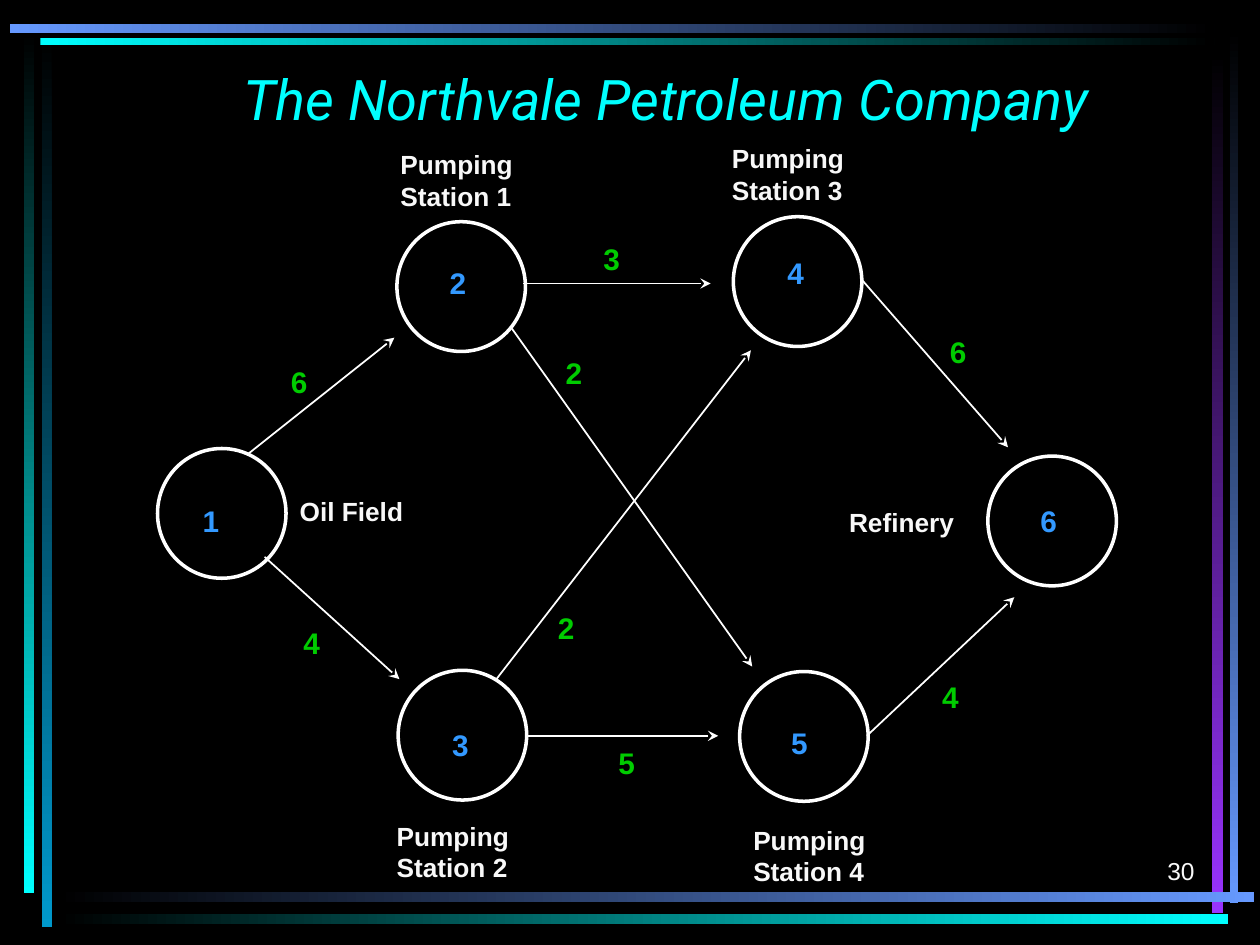
"""Build a pipeline network slide on a grid of 1000 columns by 750 rows."""
from lxml import etree
from pptx import Presentation
from pptx import util as u
from pptx.dml.color import RGBColor
from pptx.enum import shapes, text
from pptx.oxml.ns import qn

COL = {
    "black": "000000", "white": "FFFFFF", "label": "F8F8F8", "cyan": "00FFFF",
    "teal": "0099CC", "blue": "6699FF", "purple": "9933FF",
    "node": "3399FF", "flow": "00CC00",
}
PAL = {name: RGBColor.from_string(value) for name, value in COL.items()}
CELL = u.Inches(10) // 1000

prs = Presentation()
prs.slide_width, prs.slide_height = 1000 * CELL, 750 * CELL
s = prs.slides.add_slide(prs.slide_layouts[6])
s.background.fill.solid()
s.background.fill.fore_color.rgb = PAL["black"]


def grid(*cells):
    return [CELL * c for c in cells]


def add_text(words, x, y, w, h, size=15, color="label", font="Arial", bold=True,
             italic=False, align="LEFT", anchor="TOP", wrap=False):
    tf = s.shapes.add_textbox(*grid(x, y, w, h)).text_frame
    tf.word_wrap = wrap
    tf.auto_size = text.MSO_AUTO_SIZE.NONE if wrap else text.MSO_AUTO_SIZE.SHAPE_TO_FIT_TEXT
    tf.vertical_anchor = text.MSO_ANCHOR[anchor]
    p = tf.paragraphs[0]
    p.alignment = text.PP_ALIGN[align]
    r = p.add_run()
    r.text = words
    r.font.name, r.font.size = font, u.Pt(size)
    r.font.bold, r.font.italic = bold, italic
    r.font.color.rgb = PAL[color]


bars = [
    (33, 28, 8, 708, "black", "teal"),
    (19, 25, 8, 684, "black", "cyan"),
    (976, 24, 7, 693, "black", "blue"),
    (962, 42, 9, 683, "black", "purple"),
    (45, 708, 950, 8, "black", "blue"),
    (45, 725, 930, 8, "black", "cyan"),
    (32, 30, 932, 6, "cyan", "black"),
    (8, 19, 956, 7, "blue", "black"),
]
for x, y, w, h, first, last in bars:
    sp = s.shapes.add_shape(shapes.MSO_SHAPE.RECTANGLE, *grid(x, y, w, h))
    sp.shadow.inherit = False
    sp.line.fill.background()
    sp.fill.gradient()
    sp.fill.gradient_angle = 270 if h > w else 0
    for stop, name in zip(sp.fill.gradient_stops, (first, last)):
        stop.color.rgb = PAL[name]

add_text("The Northvale Petroleum Company", 133, 50, 792, 56, size=32, color="cyan",
         font="Roboto", bold=False, italic=True, align="CENTER", anchor="MIDDLE", wrap=True)

nodes = [
    ("1", 125, 356, 151, 394),
    ("2", 315, 176, 347, 205),
    ("3", 316, 532, 349, 572),
    ("4", 582, 172, 615, 197),
    ("5", 587, 533, 618, 570),
    ("6", 784, 362, 816, 394),
]
for number, x, y, tx, ty in nodes:
    sp = s.shapes.add_shape(shapes.MSO_SHAPE.OVAL, *grid(x, y, 102, 103))
    sp.shadow.inherit = False
    sp.fill.background()
    sp.line.color.rgb, sp.line.width = PAL["white"], u.Pt(2)
    add_text(number, tx, ty, 33, 38, size=17, color="node")

add_text("Oil Field", 228, 388, 102, 35)
add_text("Refinery", 664, 397, 104, 35)
stations = [(308, 113), (305, 646), (571, 108), (588, 649)]
for number, (x, y) in enumerate(stations, 1):
    add_text("Pumping", x, y, 115, 35)
    add_text(f"Station {number}", x, y + 25, 108, 35)

flows = [
    ("6", 221, 284, 196, 361, 313, 268),
    ("4", 231, 491, 210, 442, 317, 539),
    ("3", 469, 186, 415, 225, 564, 225),
    ("5", 481, 586, 418, 584, 570, 584),
    ("6", 744, 260, 684, 222, 800, 355),
    ("4", 738, 534, 688, 584, 805, 474),
    ("2", 439, 277, 405, 259, 597, 529),
    ("2", 433, 479, 394, 539, 596, 278),
]
for amount, tx, ty, *ends in flows:
    cx = s.shapes.add_connector(shapes.MSO_CONNECTOR.STRAIGHT, *grid(*ends))
    cx.line.color.rgb, cx.line.width = PAL["white"], u.Pt(1)
    etree.SubElement(cx.line._get_or_add_ln(), qn("a:tailEnd"), type="stealth")
    etree.SubElement(cx._element.spPr, qn("a:effectLst"))
    add_text(amount, tx, ty, 33, 38, size=17, color="flow")

add_text("30", 750, 658, 208, 50, size=14, bold=False, align="RIGHT",
         anchor="BOTTOM", wrap=True)

prs.save("out.pptx")
